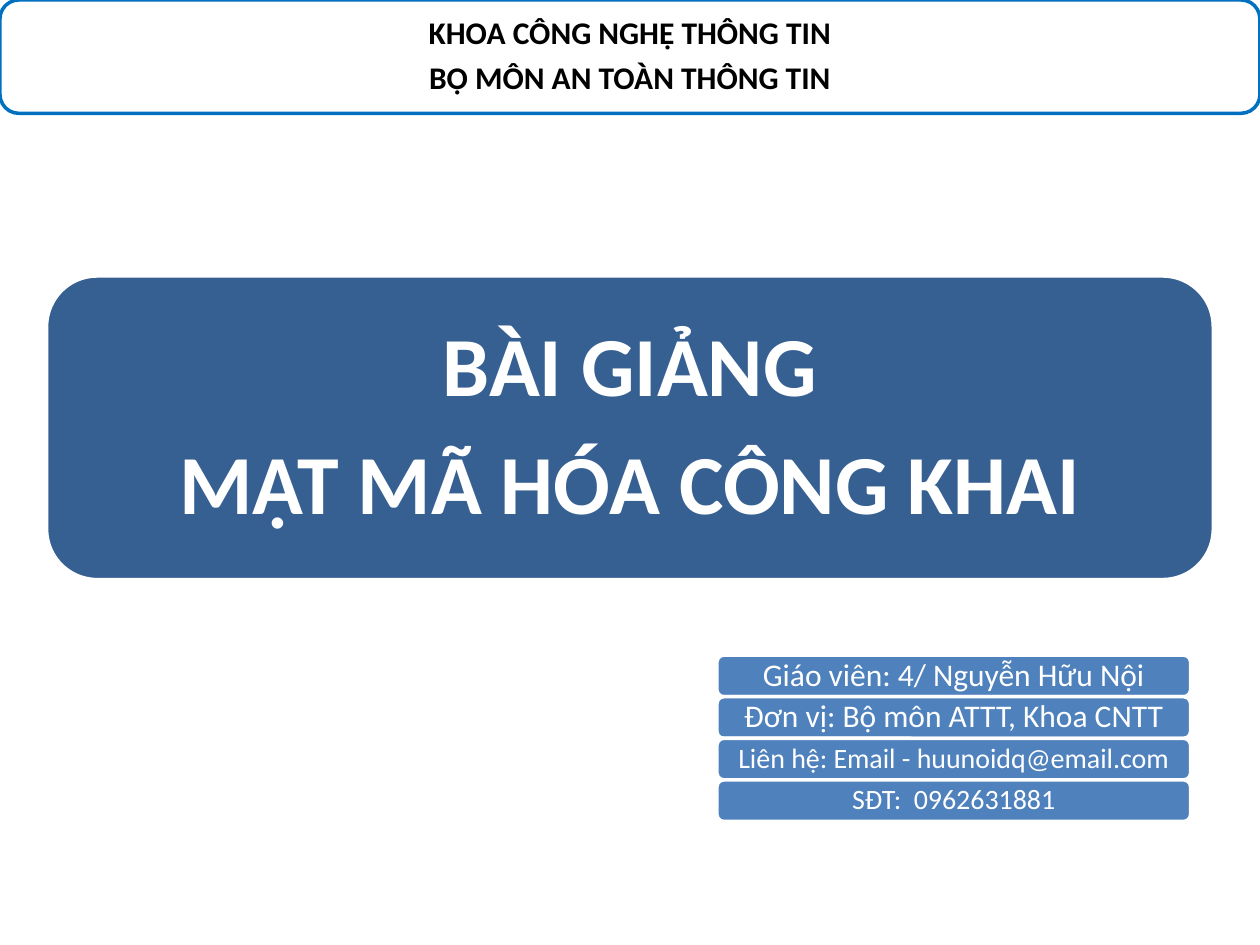
from pptx import Presentation
from pptx.dml.color import RGBColor
from pptx.enum.shapes import MSO_SHAPE as SHAPE
from pptx.enum.text import MSO_ANCHOR as ANCHOR, MSO_AUTO_SIZE as AUTO, PP_ALIGN as ALIGN
from pptx.util import Inches, Pt

WHITE, BLACK, NAVY, BLUE, BORDER = "FFFFFF", "000000", "376092", "4F81BD", "0070C0"
BAR_TOP, BAR_STEP = 5.2, 0.33
CONTACTS = [
    ("Giáo viên: 4/ Nguyễn Hữu Nội", 18),
    ("Đơn vị: Bộ môn ATTT, Khoa CNTT", 18),
    ("Liên hệ: Email - huunoidq@email.com", 16),
    ("SĐT:  0962631881", 16),
]


def rgb(value):
    return RGBColor.from_string(value)


def set_all(obj, **values):
    for name, value in values.items():
        setattr(obj, name, value)


def place(sp, left, top, width, height):
    set_all(sp, left=Inches(left), top=Inches(top),
            width=Inches(width), height=Inches(height))


def write(sp, lines, size, color, bold=False, inset=0.07, inset_y=0.07):
    tf = sp.text_frame
    tf.text = "\n".join(lines)
    set_all(tf, word_wrap=True, auto_size=AUTO.NONE, vertical_anchor=ANCHOR.MIDDLE,
            margin_left=Inches(inset), margin_right=Inches(inset),
            margin_top=Inches(inset_y), margin_bottom=Inches(inset_y))
    for p in tf.paragraphs:
        set_all(p, alignment=ALIGN.CENTER, line_spacing=0.9,
                space_before=Pt(0), space_after=Pt(round(size * 0.34)))
        for r in p.runs:
            set_all(r.font, name="Calibri", size=Pt(size), bold=bold)
            r.font.color.rgb = rgb(color)


def add_box(s, box, fill, line):
    sp = s.shapes.add_shape(SHAPE.ROUNDED_RECTANGLE, *map(Inches, box))
    sp.shadow.inherit = False
    sp.fill.solid()
    sp.fill.fore_color.rgb = rgb(fill)
    sp.line.color.rgb = rgb(line)
    sp.line.width = Pt(2)
    return sp


def main():
    prs = Presentation()
    set_all(prs, slide_width=Inches(10), slide_height=Inches(7.5))
    s = prs.slides.add_slide(prs.slide_layouts[5])

    # Title in front of its banner
    banner = add_box(s, (0.37, 2.19, 9.26, 2.41), NAVY, WHITE)
    title = s.shapes.title
    place(title, 0.49, 2.31, 9.02, 2.18)
    write(title, ["BÀI GIẢNG", "MẠT MÃ HÓA CÔNG KHAI"], 48, WHITE, True, 0.2, 0.2)
    banner._element.addnext(title._element)

    # Contact bars
    for i, (text, size) in enumerate(CONTACTS):
        bar = add_box(s, (5.69, BAR_TOP + i * BAR_STEP, 3.76, 0.33), BLUE, WHITE)
        write(bar, [text], size, WHITE, inset_y=0)

    # Department header
    header = add_box(s, (0, 0, 10, 0.9), WHITE, BORDER)
    write(header, ["KHOA CÔNG NGHỆ THÔNG TIN", "BỘ MÔN AN TOÀN THÔNG TIN"],
          18, BLACK, True)

    prs.save("out.pptx")


main()
